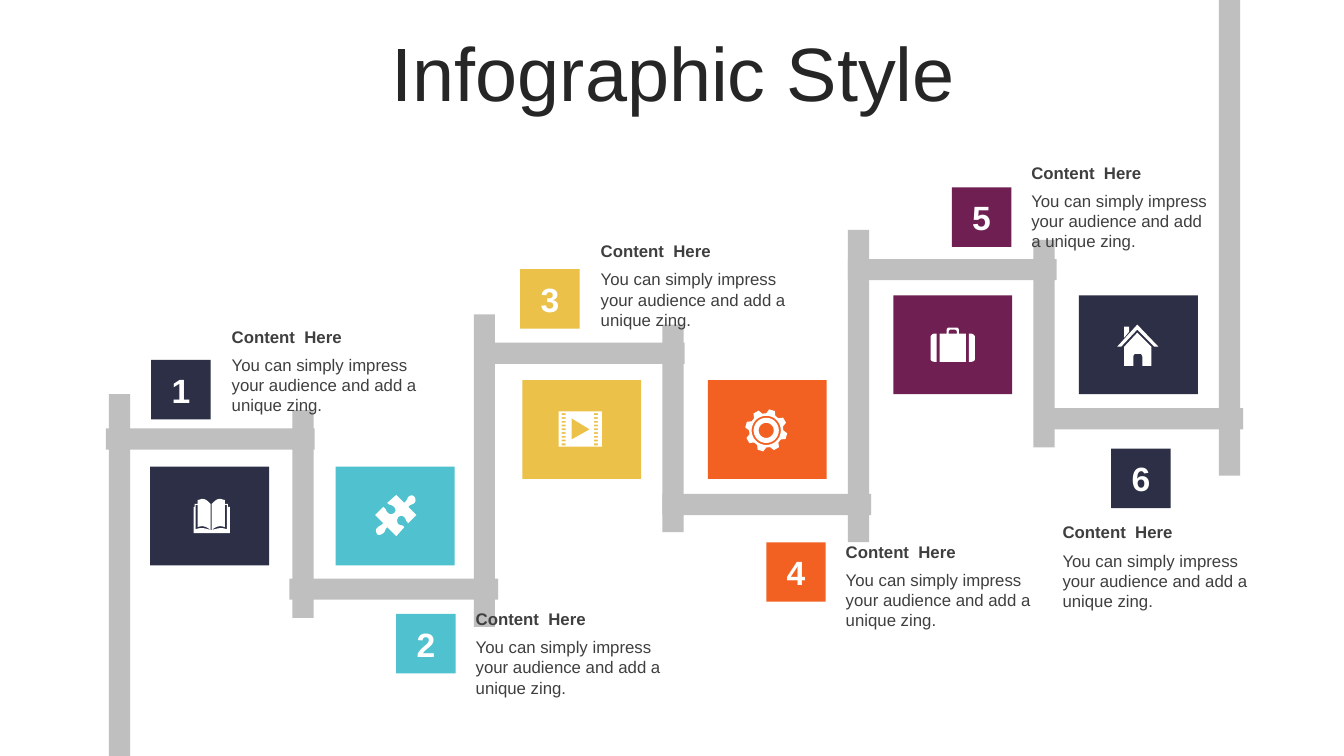
from math import cos, radians, sin

from pptx import Presentation
from pptx.dml.color import RGBColor
from pptx.enum.shapes import MSO_SHAPE as SHAPE
from pptx.enum.text import MSO_ANCHOR as ANCHOR, MSO_AUTO_SIZE as AUTO, PP_ALIGN as ALIGN
from pptx.util import Pt

PX = 9144
FONT = "Arial"
COLORS = {
    "white": "FFFFFF", "pipe": "BFBFBF", "title": "262626", "text": "3F3F3F",
    "navy": "2C2F45", "teal": "4FC1CF", "yellow": "EBC149",
    "orange": "F26122", "plum": "6F1F51",
}
HEADING = "Content  Here"
BODY = "You can simply impress your audience and add a unique zing."

PIPE = 21
RISERS = [(108, 391, 359), (290, 407, 206), (470, 312, 310), (657, 322, 206),
          (841, 228, 310), (1025, 238, 206), (1209, 0, 472)]
LANDINGS = [(105, 425), (287, 574), (472, 340), (657, 490), (841, 257), (1026, 405)]

BOOK = [[
    (60, 63), (61, 63), (67, 61, 70, 60, 76, 62), (76, 38), (74, 38), (74, 60),
    (70, 58, 65, 59, 61, 63), (61, 37), (64, 34, 66, 32, 69, 32),
    (71, 32, 72, 33, 74, 33), (74, 37), (77, 37), (77, 40), (79, 40), (79, 66),
    (43, 66), (43, 40), (44, 40), (44, 37), (47, 37), (47, 33),
    (49, 33, 50, 32, 52, 32), (55, 32, 57, 34, 60, 37), (60, 63),
    (56, 59, 51, 58, 47, 60), (47, 38), (45, 38), (45, 62), (51, 60, 55, 61, 60, 63),
]]
PUZZLE = [[
    (78, 30), (79, 31, 80, 34, 78, 36), (76, 38, 74, 37, 72, 40), (80, 48), (72, 56),
    (69, 54, 70, 52, 68, 50), (66, 48, 63, 49, 62, 50), (61, 52, 60, 54, 62, 57),
    (65, 59, 66, 57, 68, 60), (60, 69), (51, 60), (48, 63, 50, 64, 47, 66),
    (45, 68, 42, 68, 41, 67), (40, 65, 39, 62, 41, 61), (43, 58, 45, 59, 47, 56),
    (39, 48), (47, 40), (51, 42, 49, 44, 52, 46), (54, 48, 56, 47, 58, 46),
    (59, 45, 60, 42, 58, 40), (55, 37, 54, 39, 51, 36), (60, 28), (68, 36),
    (71, 33, 70, 33, 72, 30), (74, 28, 77, 28, 78, 30),
]]
SUITCASE = [
    [(75, 38), (77, 38), (79, 38, 81, 40, 81, 41), (81, 63),
     (81, 65, 79, 66, 77, 66), (75, 66)],
    [(43, 38), (43, 66), (41, 66), (39, 66, 37, 65, 37, 63), (37, 41),
     (37, 40, 39, 38, 41, 38)],
    [(55, 32), (63, 32), (64, 32, 65, 33, 65, 34), (65, 38), (72, 38), (72, 66),
     (46, 66), (46, 38), (53, 38), (53, 34), (53, 33, 54, 32, 55, 32)],
    [(57, 34), (56, 34, 55, 35, 55, 36), (55, 38), (63, 38), (63, 36),
     (63, 35, 62, 34, 61, 34)],
]
HOUSE = [
    [(58, 37), (72, 51), (72, 70), (63, 70), (63, 61), (63, 60, 62, 58, 61, 58),
     (56, 58), (55, 58, 54, 60, 54, 61), (54, 70), (45, 70), (45, 51)],
    [(45, 31), (50, 31), (50, 36), (45, 42)],
    [(58, 29), (79, 51), (75, 51), (58, 34), (42, 51), (38, 51)],
]


def rect_points(x, y, w, h):
    """Return the corners of a rectangle."""
    return [(x, y), (x + w, y), (x + w, y + h), (x, y + h)]


def film():
    """Return the outlines of a film frame with sprocket holes and a play mark."""
    holes = [rect_points(x, 33 + 3.75 * row, 4, 1.75) for x in (39, 71) for row in range(9)]
    return [rect_points(36, 31, 43, 35), [(49, 38), (67, 49), (49, 59)]] + holes


def gear():
    """Return the outlines of an eight-toothed gear with two rings."""
    def polar(radius, angle):
        return 58 + radius * cos(radians(angle)), 50 + radius * sin(radians(angle))

    teeth = [polar(radius, 16 + 45 * tooth + turn) for tooth in range(8)
             for radius, turn in ((17, -16), (21, -8), (21, 8), (17, 16))]
    rings = [[polar(radius, angle) for angle in range(0, 360, 10)] for radius in (14.5, 12.5, 7.5)]
    return [teeth] + rings


def flatten(outline):
    """Turn lines and cubic curves into a list of points."""
    points = []
    for step in outline:
        if len(step) == 2:
            points.append(step)
            continue
        x0, y0 = points[-1]
        x1, y1, x2, y2, x3, y3 = step
        for t in (0.2, 0.4, 0.6, 0.8, 1):
            a, b, c, d = (1 - t) ** 3, 3 * t * (1 - t) ** 2, 3 * t * t * (1 - t), t ** 3
            points.append((a * x0 + b * x1 + c * x2 + d * x3,
                           a * y0 + b * y1 + c * y2 + d * y3))
    return points


def paint(s, color):
    """Give a shape a flat fill without line or shadow."""
    s.fill.solid()
    s.fill.fore_color.rgb = RGBColor.from_string(COLORS[color])
    s.line.fill.background()
    s.shadow.inherit = False


def add_rect(slide, x, y, w, h, color):
    """Add a flat rectangle."""
    s = slide.shapes.add_shape(SHAPE.RECTANGLE, x * PX, y * PX, w * PX, h * PX)
    paint(s, color)
    return s


def write(s, text, size, color, bold=False, align=ALIGN.LEFT, anchor=ANCHOR.MIDDLE):
    """Write one formatted paragraph into a shape."""
    tf = s.text_frame
    tf.word_wrap = True
    tf.auto_size = AUTO.NONE
    tf.vertical_anchor = anchor
    p = tf.paragraphs[0]
    p.text = text
    p.alignment = align
    p.font.name, p.font.size, p.font.bold = FONT, Pt(size), bold
    p.font.color.rgb = RGBColor.from_string(COLORS[color])
    return p


def add_title(slide, x, y, w, h):
    """Place the title placeholder in its box."""
    s = slide.shapes.title
    s.left, s.top, s.width, s.height = x * PX, y * PX, w * PX, h * PX
    write(s, "Infographic Style", 54, "title", align=ALIGN.CENTER).line_spacing = 0.9


def add_pipes(slide):
    """Draw the stair of grey pipes."""
    for x, y in LANDINGS:
        add_rect(slide, x, y, 207, PIPE, "pipe")
    for x, y, h in RISERS:
        add_rect(slide, x, y, PIPE, h, "pipe")


def add_tile(slide, x, y, color, outlines):
    """Draw a coloured tile with its white icon."""
    add_rect(slide, x, y, 118, 98, color)
    contours = [[(px * PX, py * PX) for px, py in flatten(o)] for o in outlines]
    builder = slide.shapes.build_freeform(*contours[0][0])
    for i, points in enumerate(contours):
        if i:
            builder.move_to(*points[0])
        builder.add_line_segments(points[1:], close=True)
    paint(builder.convert_to_shape(x * PX, y * PX), "white")


def add_badge(slide, x, y, color, number):
    """Draw a numbered square."""
    write(add_rect(slide, x, y, 59, 59, color), str(number), 24, "white", True, ALIGN.CENTER)


def add_caption(slide, x, y, w):
    """Place a heading with its text below."""
    for text, top, h, bold, anchor in ((HEADING, y, 30, True, ANCHOR.MIDDLE),
                                       (BODY, y + 28, 71, False, ANCHOR.TOP)):
        s = slide.shapes.add_textbox(x * PX, top * PX, w * PX, h * PX)
        write(s, text, 12, "text", bold, anchor=anchor)


def main():
    """Build the slide and save it."""
    prs = Presentation()
    prs.slide_width, prs.slide_height = 1333 * PX, 750 * PX
    slide = prs.slides.add_slide(prs.slide_layouts[5])
    add_title(slide, 35, 37, 1266, 79)
    add_pipes(slide)
    steps = [
        ("navy", BOOK, (149, 463), (150, 357), (220, 319, 207)),
        ("teal", PUZZLE, (333, 463), (393, 609), (462, 599, 207)),
        ("yellow", film(), (518, 377), (516, 267), (586, 234, 207)),
        ("orange", gear(), (702, 377), (760, 538), (829, 532, 207)),
        ("plum", SUITCASE, (886, 293), (944, 186), (1013, 156, 198)),
        ("navy", HOUSE, (1070, 293), (1102, 445), (1044, 513, 207)),
    ]
    for number, (color, icon, tile, badge, caption) in enumerate(steps, 1):
        add_tile(slide, *tile, color, icon)
        add_badge(slide, *badge, color, number)
        add_caption(slide, *caption)
    prs.save("out.pptx")


if __name__ == "__main__":
    main()
